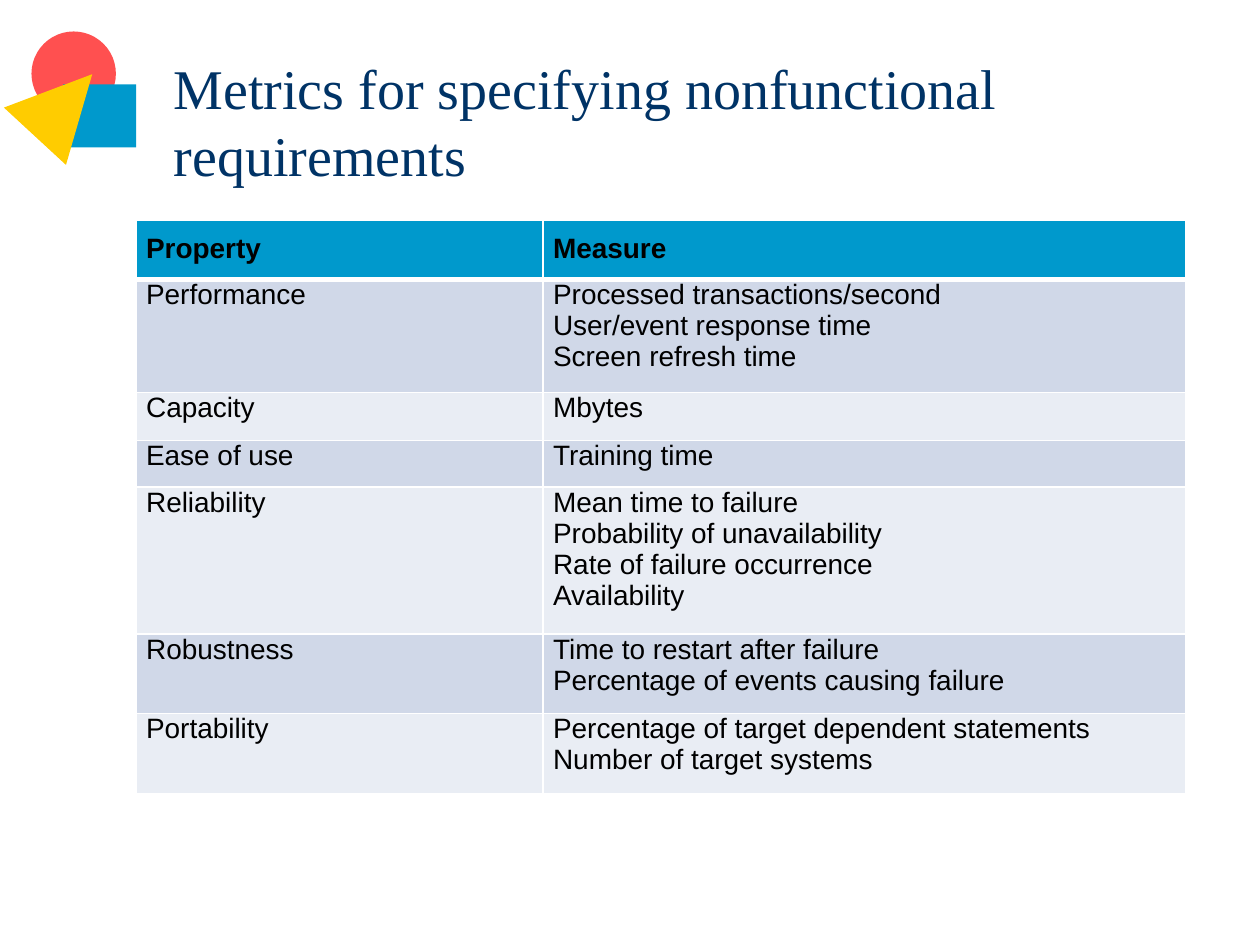
from lxml import etree
from pptx import Presentation
from pptx import util as u
from pptx.dml.color import RGBColor
from pptx.enum import shapes, text
from pptx.oxml import ns

COLORS = {
    "red": "FF5050", "blue": "0099CC", "yellow": "FFCC00", "navy": "003366",
    "black": "000000", "white": "FFFFFF", "band_dark": "D0D8E8", "band_light": "E9EDF4",
}
TITLE_FORMAT = {"name": "Times New Roman", "size": u.Pt(32), "bold": False}
HEADER_FORMAT = {"name": "Arial", "size": u.Pt(16), "bold": True}
BODY_FORMAT = {**HEADER_FORMAT, "bold": False}
COLUMN_WIDTHS = (3.23, 5.1)
ROWS = [
    (0.43, "Property", ["Measure"]),
    (0.75, "Performance", ["Processed transactions/second", "User/event response time",
                           "Screen refresh time"]),
    (0.38, "Capacity", ["Mbytes"]),
    (0.33, "Ease of use", ["Training time"]),
    (0.96, "Reliability", ["Mean time to failure", "Probability of unavailability",
                           "Rate of failure occurrence", "Availability"]),
    (0.47, "Robustness", ["Time to restart after failure",
                          "Percentage of events causing failure"]),
    (0.53, "Portability", ["Percentage of target dependent statements",
                           "Number of target systems"]),
]


def rgb(color):
    return RGBColor.from_string(COLORS[color])


def set_attributes(target, values):
    for name, value in values.items():
        setattr(target, name, value)


def write_paragraph(paragraph, words, font_format, color, alignment):
    paragraph.text = words
    paragraph.alignment = alignment
    set_attributes(paragraph.font, font_format)
    paragraph.font.color.rgb = rgb(color)


def add_ornament(slide, kind, box, color, rotation=0):
    shape = slide.shapes.add_shape(kind, *map(u.Inches, box))
    shape.shadow.inherit = False
    shape.fill.solid()
    shape.fill.fore_color.rgb = rgb(color)
    shape.line.fill.background()
    shape.rotation = rotation


def add_title(slide, words):
    box = slide.shapes.add_textbox(*map(u.Inches, (1.28, 0.33, 8.5, 1.25)))
    frame = box.text_frame
    set_attributes(frame, {"word_wrap": True, "vertical_anchor": text.MSO_ANCHOR.MIDDLE})
    write_paragraph(frame.paragraphs[0], words, TITLE_FORMAT, "navy", text.PP_ALIGN.LEFT)


def add_borders(cell, widths):
    properties = cell._tc.get_or_add_tcPr()
    for position, (side, width) in enumerate(widths.items()):
        line = etree.Element(ns.qn(f"a:ln{side}"), w=str(u.Pt(width)))
        fill = etree.SubElement(line, ns.qn("a:solidFill"))
        etree.SubElement(fill, ns.qn("a:srgbClr"), val=COLORS["white"])
        properties.insert(position, line)


def fill_cell(cell, lines, row):
    header = row == 0
    set_attributes(cell, {
        "margin_left": u.Inches(0.08), "margin_right": u.Inches(0.08),
        "margin_top": u.Inches(0.1 if header else 0), "margin_bottom": u.Inches(0.1),
    })
    cell.fill.solid()
    band = "band_dark" if row % 2 else "band_light"
    cell.fill.fore_color.rgb = rgb("blue" if header else band)
    add_borders(cell, {"L": 1, "R": 1, "T": 3 if row == 1 else 1, "B": 3 if header else 1})
    frame = cell.text_frame
    for index, words in enumerate(lines):
        paragraph = frame.add_paragraph() if index else frame.paragraphs[0]
        write_paragraph(paragraph, words, HEADER_FORMAT if header else BODY_FORMAT,
                        "black", text.PP_ALIGN.JUSTIFY)


def add_metrics_table(slide):
    box = map(u.Inches, (1.08, 1.75, sum(COLUMN_WIDTHS), 4.55))
    graphic_frame = slide.shapes.add_table(len(ROWS), len(COLUMN_WIDTHS), *box)
    table = graphic_frame.table
    for column, width in zip(table.columns, COLUMN_WIDTHS):
        column.width = u.Inches(width)
    for row, (height, name, measures) in enumerate(ROWS):
        table.rows[row].height = u.Inches(height)
        fill_cell(table.cell(row, 0), [name], row)
        fill_cell(table.cell(row, 1), measures, row)
    table.cell(4, 0).text_frame.paragraphs[0].alignment = text.PP_ALIGN.LEFT
    graphic_frame.height = u.Inches(4.55)


def main():
    presentation = Presentation()
    presentation.slide_width = u.Inches(10)
    presentation.slide_height = u.Inches(7.5)
    slide = presentation.slides.add_slide(presentation.slide_layouts[6])
    kinds = shapes.MSO_SHAPE
    add_ornament(slide, kinds.OVAL, (0.25, 0.25, 0.67, 0.67), "red")
    add_ornament(slide, kinds.RECTANGLE, (0.5, 0.67, 0.58, 0.5), "blue")
    add_ornament(slide, kinds.ISOSCELES_TRIANGLE, (0.17, 0.5, 0.67, 0.67), "yellow", 42.7)
    add_title(slide, "Metrics for specifying nonfunctional requirements")
    add_metrics_table(slide)
    presentation.save("out.pptx")


if __name__ == "__main__":
    main()
